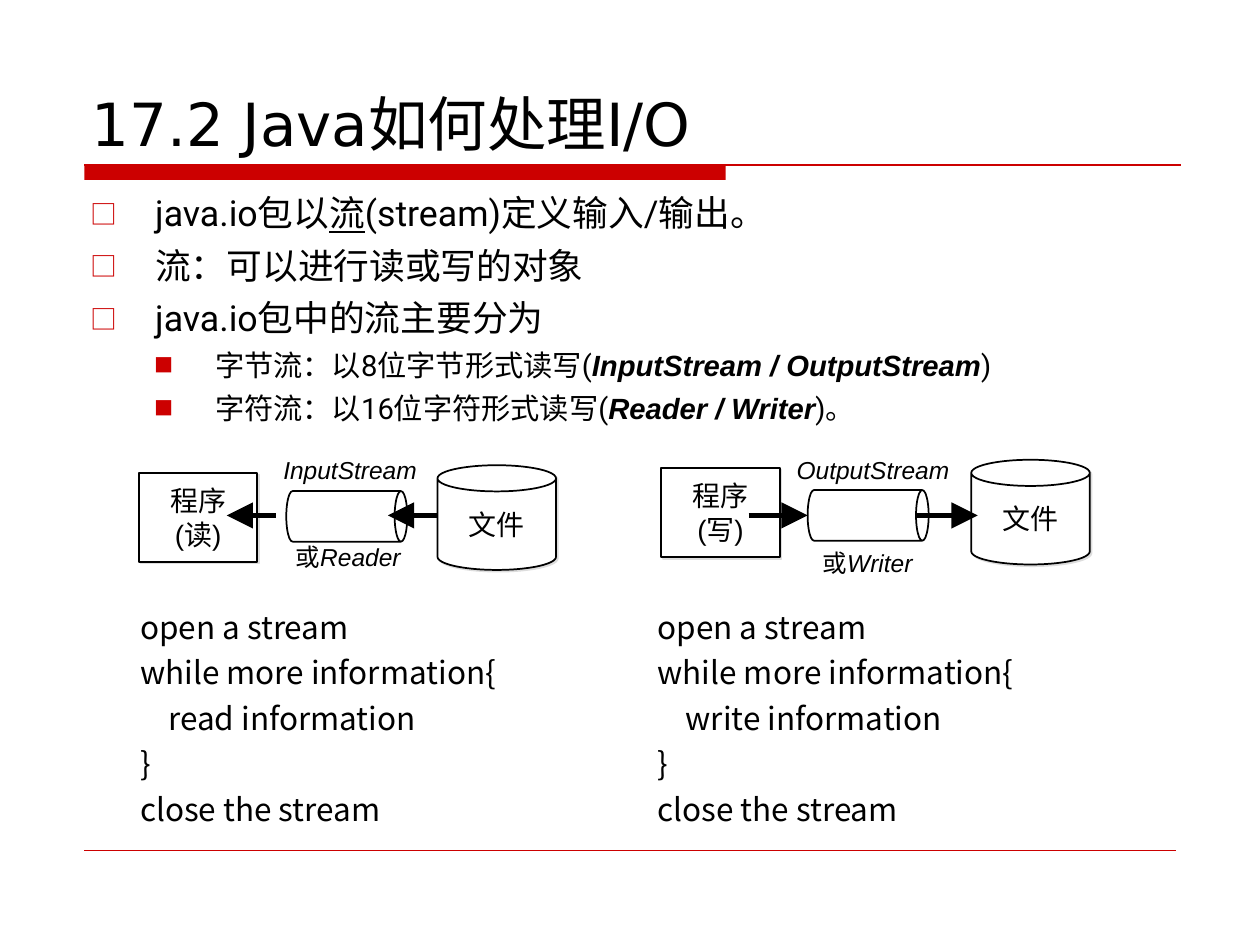
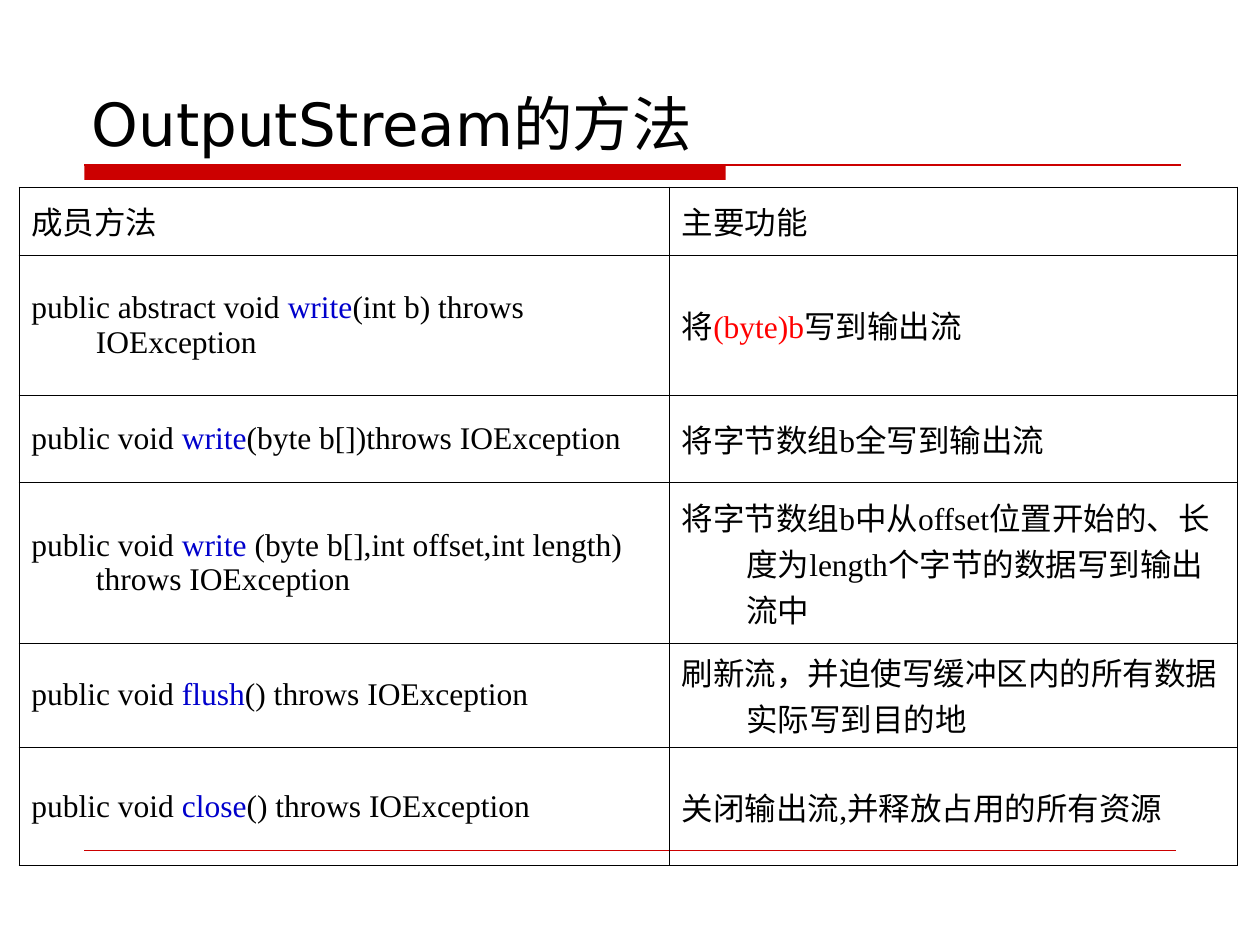
from lxml.etree import SubElement
from pptx import Presentation
from pptx.dml.color import RGBColor
from pptx.enum.shapes import MSO_CONNECTOR as Connector, MSO_SHAPE as Preset
from pptx.enum.text import MSO_ANCHOR as Anchor, PP_ALIGN as Align
from pptx.oxml.ns import qn
from pptx.util import Cm, Pt

BLACK = RGBColor(0x00, 0x00, 0x00)
WHITE = RGBColor(0xFF, 0xFF, 0xFF)
CRIMSON = RGBColor(0xCC, 0x00, 0x00)
RED = RGBColor(0xFF, 0x00, 0x00)
BLUE = RGBColor(0x00, 0x00, 0xCC)
SHADOW = RGBColor(0xDD, 0xDD, 0xDD)

TITLE_FONT = "DejaVu Sans"
BODY_FONT = "Roboto"
DIAGRAM_FONT = "Arial"
TABLE_FONT = "Times New Roman"
CJK_FONT = "Noto Sans CJK SC"

TOP_LEVEL = {"size": 20.4, "left": 1.3, "hang": 1.3, "before": 5.5,
             "bullet": "□", "bullet_scale": 75}
SUB_LEVEL = {"size": 16.7, "left": 2.51, "hang": 1.22, "before": 4.5,
             "bullet": "■", "bullet_scale": 65}


def child(parent, tag, **attributes):
    return SubElement(parent, qn(tag), {name: str(value) for name, value in attributes.items()})


def write(para, text, font=BODY_FONT, size=18, color=BLACK, bold=False, italic=False, underline=False):
    span = para.add_run()
    span.text = text
    style = span.font
    style.name, style.size = font, Pt(size)
    style.bold, style.italic, style.underline = bold, italic, underline
    style.color.rgb = color
    child(span._r.get_or_add_rPr(), "a:ea", typeface=CJK_FONT)


def set_indent(para, left, hang):
    properties = para._p.get_or_add_pPr()
    properties.set("marL", str(Cm(left)))
    properties.set("indent", str(-Cm(hang)))
    return properties


def set_bullet(properties, symbol, scale):
    color = child(properties, "a:buClr")
    child(color, "a:srgbClr", val=CRIMSON)
    child(properties, "a:buSzPct", val=scale * 1000)
    child(properties, "a:buFont", typeface=CJK_FONT)
    child(properties, "a:buChar", char=symbol)


def fill_frame(frame, lines, align=Align.LEFT, left=0, hang=0, before=0,
               bullet=None, bullet_scale=100, more=False, **style):
    """Write lines, each a string or a list of (text, format) spans; more=True continues the frame."""
    for number, line in enumerate(lines):
        first = number == 0 and not more
        para = frame.paragraphs[0] if first else frame.add_paragraph()
        para.alignment = align
        para.space_before = Pt(0 if first else before)
        properties = set_indent(para, left, hang)
        if bullet:
            set_bullet(properties, bullet, bullet_scale)
        for text, changes in [(line, {})] if isinstance(line, str) else line:
            write(para, text, **{**style, **changes})


class SlideBuilder:
    def __init__(self, deck):
        self.deck = deck
        self.page = None

    def new_page(self, title):
        self.page = self.deck.slides.add_slide(self.deck.slide_layouts[6])
        self.shape(Preset.RECTANGLE, 1.7, 3.32, 12.93, 0.31, fill=CRIMSON, line=None)
        self.line((1.7, 3.33), (23.8, 3.33), CRIMSON, 1)
        self.line((1.7, 17.15), (23.7, 17.15), CRIMSON, 0.25)
        self.text(1.6, 0.82, 22.23, 2.49, [title], anchor=Anchor.BOTTOM, font=TITLE_FONT, size=34)

    def text(self, x, y, width, height, lines, anchor=Anchor.TOP, **style):
        frame = self.page.shapes.add_textbox(Cm(x), Cm(y), Cm(width), Cm(height)).text_frame
        frame.word_wrap = True
        frame.vertical_anchor = anchor
        fill_frame(frame, lines, **style)
        return frame

    def shape(self, preset, x, y, width, height, fill=None, line=BLACK, turn=0, lines=(), shadow=False):
        box = self.page.shapes.add_shape(preset, Cm(x), Cm(y), Cm(width), Cm(height))
        box.rotation = turn
        box.shadow.inherit = False
        if fill is None:
            box.fill.background()
        else:
            box.fill.solid()
            box.fill.fore_color.rgb = fill
        if line is None:
            box.line.fill.background()
        else:
            box.line.color.rgb = line
            box.line.width = Pt(1)
        if shadow:
            effects = box._element.spPr.find(qn("a:effectLst"))
            outer = child(effects, "a:outerShdw", dist=Pt(1.4), dir=45 * 60000, algn="ctr", rotWithShape=0)
            child(outer, "a:srgbClr", val=SHADOW)
        if lines:
            box.text_frame.word_wrap = False
            box.text_frame.vertical_anchor = Anchor.MIDDLE
            fill_frame(box.text_frame, lines, align=Align.CENTER, font=DIAGRAM_FONT, size=16)

    def line(self, start, end, color=BLACK, width=1, arrow=False):
        points = [Cm(value) for value in (*start, *end)]
        connector = self.page.shapes.add_connector(Connector.STRAIGHT, *points)
        connector.line.color.rgb = color
        connector.line.width = Pt(width)
        if arrow:
            child(connector.line._get_or_add_ln(), "a:tailEnd", type="triangle", w="lg", len="lg")
        child(connector._element.spPr, "a:effectLst")

    def table(self, x, y, columns, rows, cells, border=None, **style):
        """Draw a table whose cells are lists of lines; border=None hides the grid."""
        frame = self.page.shapes.add_table(len(rows), len(columns), Cm(x), Cm(y),
                                           Cm(sum(columns)), Cm(sum(rows)))
        grid = frame.table
        grid.first_row = grid.horz_banding = False
        for column, width in zip(grid.columns, columns):
            column.width = Cm(width)
        for row, height, contents in zip(grid.rows, rows, cells):
            row.height = Cm(height)
            for cell, lines in zip(row.cells, contents):
                cell.vertical_anchor = Anchor.MIDDLE
                self.cell_borders(cell, border)
                cell.fill.background()
                fill_frame(cell.text_frame, lines, **style)

    def cell_borders(self, cell, color):
        properties = cell._tc.get_or_add_tcPr()
        for side in ("L", "R", "T", "B"):
            edge = child(properties, f"a:ln{side}", w=Pt(0.45))
            if color is None:
                child(edge, "a:noFill")
            else:
                child(child(edge, "a:solidFill"), "a:srgbClr", val=color)

    def stream_diagram(self, program, pipe, file, action, stream, reader, arrows):
        """Place program, pipe and file at (x, y), with captions (text, x, y, width)."""
        self.shape(Preset.CAN, *file, 2.39, 2.11, WHITE, lines=["文件"], shadow=True)
        self.shape(Preset.RECTANGLE, *program, 2.39, 1.8, WHITE,
                   lines=["程序", f"({action})"], shadow=True)
        italic = {"italic": True}
        for spans, (name, x, y, width) in (([], stream), ([("或", {})], reader)):
            self.text(x, y, width, 0.86, [spans + [(name, italic)]],
                      align=Align.CENTER, font=DIAGRAM_FONT, size=14)
        self.shape(Preset.CAN, *pipe, 1.02, 2.44, turn=90)
        for start, end in arrows:
            self.line((start, 10.39), (end, 10.39), width=3, arrow=True)


def stream_code(verb):
    return ["open a stream", "while more information{", f"    {verb} information", "}", "close the stream"]


def signature(before, name, after):
    return [[(before, {}), (name, {"color": BLUE}), (after, {})]]


def build_io_page(builder):
    builder.new_page("17.2 Java如何处理I/O")
    class_name = {"font": DIAGRAM_FONT, "bold": True, "italic": True}
    body = builder.text(1.58, 3.73, 22.23, 5.18, [
        [("java.io包以", {}), ("流", {"underline": True}), ("(stream)定义输入/输出。", {})],
        "流：可以进行读或写的对象",
        "java.io包中的流主要分为",
    ], **TOP_LEVEL)
    fill_frame(body, [
        [("字节流：以8位字节形式读写(", {}), ("InputStream / OutputStream", class_name), (")", {})],
        [("字符流：以16位字符形式读写(", {}), ("Reader / Writer", class_name), (")。", {})],
    ], more=True, **SUB_LEVEL)

    builder.stream_diagram(
        program=(2.8, 9.53), pipe=(6.48, 9.19), file=(8.82, 9.38), action="读",
        stream=("InputStream", 5.28, 9.04, 3.56), reader=("Reader", 5.28, 10.8, 3.48),
        arrows=[(8.82, 7.82), (5.56, 4.57)])
    builder.stream_diagram(
        program=(13.33, 9.43), pipe=(16.99, 9.17), file=(19.58, 9.27), action="写",
        stream=("OutputStream", 15.62, 9.04, 3.96), reader=("Writer", 15.75, 10.92, 3.48),
        arrows=[(15.09, 16.28), (18.49, 19.71)])
    builder.table(2.57, 12.02, [10.43, 10.83], [4.37],
                  [[stream_code("read"), stream_code("write")]], font=CJK_FONT)


def build_methods_page(builder):
    builder.new_page("OutputStream的方法")
    cells = [
        (["成员方法"], ["主要功能"]),
        (signature("public abstract void ", "write", "(int b) throws IOException"),
         [[("将", {}), ("(byte)b", {"color": RED}), ("写到输出流", {})]]),
        (signature("public void ", "write", "(byte b[])throws IOException"),
         ["将字节数组b全写到输出流"]),
        (signature("public void ", "write", " (byte b[],int offset,int length) throws IOException"),
         ["将字节数组b中从offset位置开始的、长度为length个字节的数据写到输出流中"]),
        (signature("public void ", "flush", "() throws IOException"),
         ["刷新流，并迫使写缓冲区内的所有数据实际写到目的地"]),
        (signature("public void ", "close", "() throws IOException"),
         ["关闭输出流,并释放占用的所有资源"]),
    ]
    builder.table(0.38, 3.77, [13.11, 11.46], [1.37, 2.82, 1.77, 3.23, 2.1, 2.39], cells,
                  border=BLACK, font=TABLE_FONT, left=1.3, hang=1.3)


def main():
    deck = Presentation()
    deck.slide_width, deck.slide_height = Cm(25.4), Cm(19.05)
    builder = SlideBuilder(deck)
    build_io_page(builder)
    build_methods_page(builder)
    deck.save("out.pptx")


if __name__ == "__main__":
    main()
